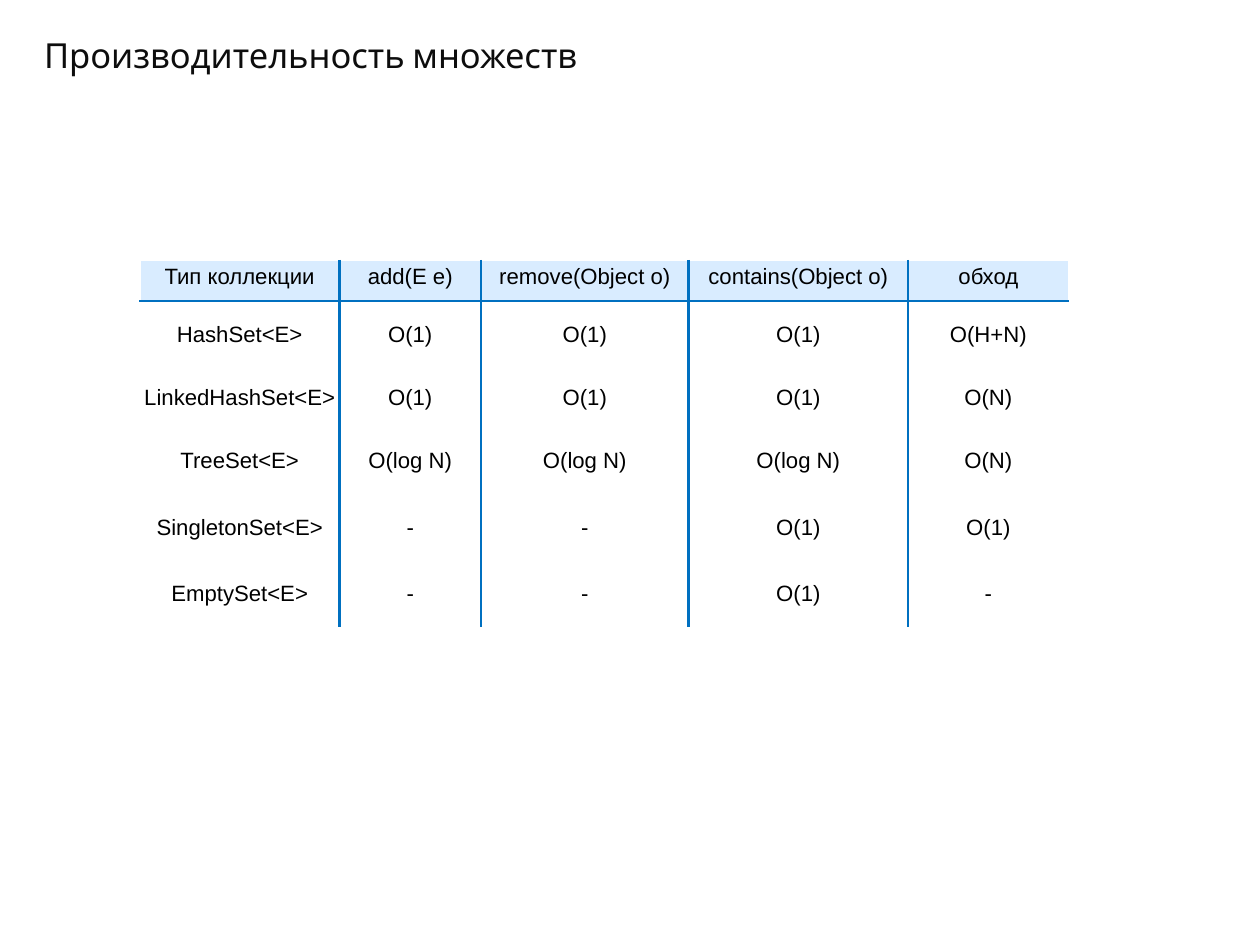
import pptx
import pptx.dml.color
import pptx.enum.text
import pptx.oxml
import pptx.oxml.ns
import pptx.util

Inches = pptx.util.Inches
ALIGN = pptx.enum.text.PP_ALIGN
ANCHOR = pptx.enum.text.MSO_ANCHOR

TITLE = "Производительность множеств"
HEADER = ("Тип коллекции", "add(E e)", "remove(Object o)", "contains(Object o)", "обход")
COLLECTIONS = [
    ("HashSet<E>", "O(1)", "O(1)", "O(1)", "O(H+N)"),
    ("LinkedHashSet<E>", "O(1)", "O(1)", "O(1)", "O(N)"),
    ("TreeSet<E>", "O(log N)", "O(log N)", "O(log N)", "O(N)"),
    ("SingletonSet<E>", "-", "-", "O(1)", "O(1)"),
    ("EmptySet<E>", "-", "-", "O(1)", "-"),
]
COLUMN_WIDTHS = (2.25, 1.6, 2.34, 2.48, 1.81)
ROW_HEIGHTS = (0.46, 0.76, 0.67, 0.75, 0.75, 0.75)

THEME = {
    "title": {"name": "Cabin", "size": 28, "color": "0D0D0D"},
    "cell": {"name": "Arial", "size": 18, "color": "000000"},
    "header_fill": "D9ECFF",
    "body_fill": "FFFFFF",
    "rule": ("0070C0", 2.25),
    "edge": ("FFFFFF", 1),
}


def set_values(target, values):
    for name, value in values.items():
        setattr(target, name, value)


def write_text(frame, text, style, align):
    para = frame.paragraphs[0]
    para.alignment = align
    span = para.add_run()
    span.text = text
    set_values(span.font, {"name": style["name"], "size": pptx.util.Pt(style["size"]), "bold": False})
    span.font.color.rgb = pptx.dml.color.RGBColor.from_string(style["color"])


def add_border(cell, side, line):
    namespace = pptx.oxml.ns.nsdecls("a")
    if line is None:
        xml = f'<a:ln{side} {namespace} w="0"><a:noFill/></a:ln{side}>'
    else:
        color, points = line
        xml = (
            f'<a:ln{side} {namespace} w="{pptx.util.Pt(points)}"><a:solidFill>'
            f'<a:srgbClr val="{color}"/></a:solidFill></a:ln{side}>'
        )
    cell._tc.get_or_add_tcPr().append(pptx.oxml.parse_xml(xml))


def format_cell(cell, row, column):
    is_header = row == 0
    last_column = len(HEADER) - 1
    borders = {
        "L": THEME["rule"] if column else THEME["edge"],
        "R": THEME["rule"] if column < last_column else THEME["edge"],
        "T": {0: THEME["edge"], 1: THEME["rule"]}.get(row),
        "B": THEME["rule"] if is_header else None,
    }
    if not is_header:
        margins = ("margin_left", "margin_right", "margin_top", "margin_bottom")
        set_values(cell, dict.fromkeys(margins, Inches(0.04)))
        cell.vertical_anchor = ANCHOR.MIDDLE
    for side, line in borders.items():
        add_border(cell, side, line)
    cell.fill.solid()
    fill = THEME["header_fill" if is_header else "body_fill"]
    cell.fill.fore_color.rgb = pptx.dml.color.RGBColor.from_string(fill)


def add_title(page):
    box = page.shapes.add_textbox(Inches(0.4), Inches(0.3), Inches(11.03), Inches(0.63))
    set_values(box.text_frame, {"word_wrap": False, "vertical_anchor": ANCHOR.MIDDLE})
    write_text(box.text_frame, TITLE, THEME["title"], ALIGN.LEFT)


def add_performance_table(page):
    rows = [HEADER] + COLLECTIONS
    frame = page.shapes.add_table(
        len(rows), len(HEADER), Inches(1.58), Inches(2.94),
        Inches(sum(COLUMN_WIDTHS)), Inches(sum(ROW_HEIGHTS)),
    )
    table = frame.table
    set_values(table, {"first_row": False, "horz_banding": False})
    for column, width in zip(table.columns, COLUMN_WIDTHS):
        column.width = Inches(width)
    for row, height in zip(table.rows, ROW_HEIGHTS):
        row.height = Inches(height)
    for row, texts in enumerate(rows):
        for column, text in enumerate(texts):
            cell = table.cell(row, column)
            format_cell(cell, row, column)
            write_text(cell.text_frame, text, THEME["cell"], ALIGN.CENTER)


def main():
    deck = pptx.Presentation()
    set_values(deck, {"slide_width": Inches(14.22), "slide_height": Inches(10.67)})
    page = deck.slides.add_slide(deck.slide_layouts[6])
    add_title(page)
    add_performance_table(page)
    deck.save("out.pptx")


if __name__ == "__main__":
    main()
